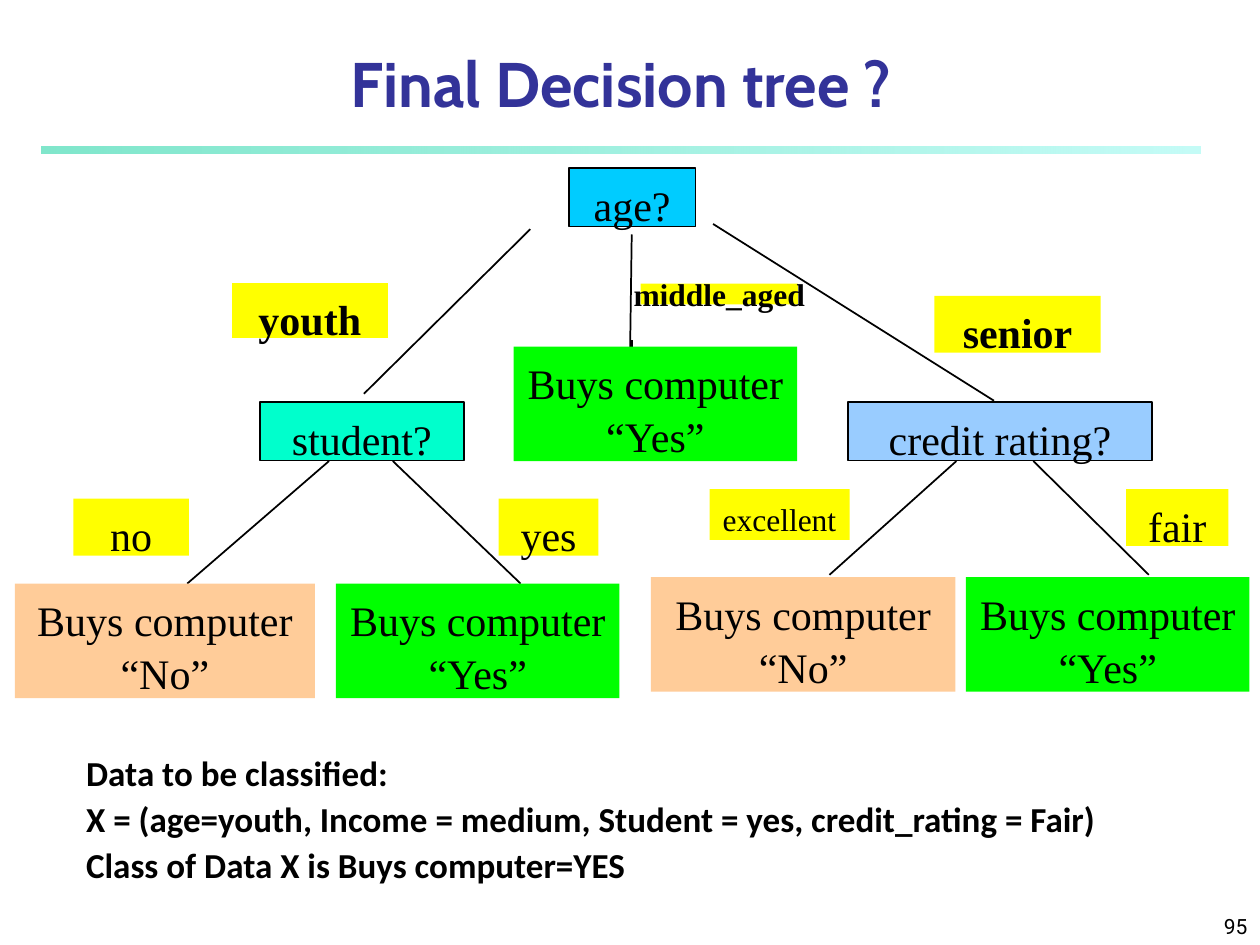
"""Build a slide that shows a final decision tree and one classified record."""
import lxml.etree
import pptx
import pptx.dml.color
import pptx.enum.shapes
import pptx.enum.text
import pptx.oxml.ns
import pptx.util

Pt = pptx.util.Pt
qn = pptx.oxml.ns.qn
Align = pptx.enum.text.PP_ALIGN
Anchor = pptx.enum.text.MSO_ANCHOR
RECT = pptx.enum.shapes.MSO_SHAPE.RECTANGLE
BLACK = "000000"
YELLOW = "FFFF00"
GREEN = "00FF00"
PEACH = "FFCC99"


def paint(code):
    return pptx.dml.color.RGBColor.from_string(code)


def write(frame, text, font="Times New Roman", size=24, color=BLACK, bold=False,
          align=Align.CENTER, anchor=Anchor.TOP, wrap=True, space=1.0,
          inset=(7.2, 3.6, 7.2, 3.6)):
    frame.auto_size = pptx.enum.text.MSO_AUTO_SIZE.NONE
    frame.word_wrap = wrap
    frame.vertical_anchor = anchor
    left, top, right, base = inset
    frame.margin_left, frame.margin_top = Pt(left), Pt(top)
    frame.margin_right, frame.margin_bottom = Pt(right), Pt(base)
    frame.text = text
    for para in frame.paragraphs:
        para.alignment = align
        para.line_spacing = space
        para.space_before = para.space_after = Pt(0)
        for run in para.runs:
            run.font.name = font
            run.font.size = Pt(size)
            run.font.bold = bold
            run.font.color.rgb = paint(color)


class Deck:
    def __init__(self):
        self.show = pptx.Presentation()
        self.show.slide_width, self.show.slide_height = Pt(720), Pt(540)
        self.slide = self.show.slides.add_slide(self.show.slide_layouts[1])
        self.shapes = self.slide.shapes

    def place(self, shape, area):
        shape.left, shape.top, shape.width, shape.height = map(Pt, area)

    def title(self, text, area):
        shape = self.shapes.title
        self.place(shape, area)
        write(shape.text_frame, text, font="Cabin", size=36, color="333399",
              bold=True, anchor=Anchor.BOTTOM)

    def body(self, text, area):
        shape = self.slide.placeholders[1]
        self.place(shape, area)
        write(shape.text_frame, text, font="Calibri", size=20, bold=True,
              align=Align.LEFT, space=1.1, inset=(7.2, 26, 7.2, 3.6))
        for para in shape.text_frame.paragraphs:
            props = para._p.get_or_add_pPr()
            props.set("marL", "0")
            props.set("indent", "0")
            lxml.etree.SubElement(props, qn("a:buNone"))

    def number(self, text, area):
        shape = self.shapes.add_textbox(*map(Pt, area))
        write(shape.text_frame, text, font="Roboto", size=12,
              align=Align.RIGHT, anchor=Anchor.BOTTOM)

    def rect(self, area):
        shape = self.shapes.add_shape(RECT, *map(Pt, area))
        shape.shadow.inherit = False
        shape.line.fill.background()
        return shape

    def rule(self, area, stops):
        shape = self.rect(area)
        shape.fill.gradient()
        shape.fill.gradient_angle = 0
        for stop, (code, alpha) in zip(shape.fill.gradient_stops, stops):
            stop.color.rgb = paint(code)
        tags = shape.element.spPr.iter(qn("a:srgbClr"))
        for tag, (code, alpha) in zip(list(tags), stops):
            lxml.etree.SubElement(tag, qn("a:alpha"), val=str(alpha * 1000))

    def box(self, text, area, fill, edge=None, **form):
        shape = self.rect(area)
        shape.fill.solid()
        shape.fill.fore_color.rgb = paint(fill)
        if edge:
            shape.line.color.rgb = paint(edge)
            shape.line.width = Pt(1)
        form = {"wrap": False, "space": 1.05, "inset": (7.2, 5, 7.2, 3.6)} | form
        write(shape.text_frame, text, **form)

    def line(self, ends):
        kind = pptx.enum.shapes.MSO_CONNECTOR.STRAIGHT
        link = self.shapes.add_connector(kind, *map(Pt, ends))
        link.line.color.rgb = paint(BLACK)
        link.line.width = Pt(1)
        lxml.etree.SubElement(link.element.spPr, qn("a:effectLst"))


def main():
    deck = Deck()
    deck.rule((24, 84, 662, 4), [("00CE98", 50), ("8FF9EF", 52)])
    deck.title("Final Decision tree ?", (24, 24, 662, 48))
    deck.number("95", (570, 510, 150, 30))

    for ends in [
        (303, 131, 208, 225), (361, 134, 360, 204), (407.5, 128, 568, 229),
        (188, 263.5, 107, 333.5), (224.5, 263.5, 297.5, 333.5),
        (546.5, 263.5, 474, 328.5), (590.5, 263.5, 656.5, 328.5),
        (361, 194.5, 361, 226),
    ]:
        deck.line(ends)

    for text, left, top, width, fill in [
        ("age?", 325, 96, 72.5, "00CCFF"),
        ("student?", 148.5, 229.75, 116.5, "00FFCC"),
        ("credit rating?", 484.5, 229.75, 174, "99CCFF"),
    ]:
        deck.box(text, (left, top, width, 33.5), fill, BLACK)

    for text, area, form in [
        ("youth", (132, 161.5, 90, 32), {"bold": True, "edge": "FFFFFF"}),
        ("senior", (534, 169, 95, 32.5), {"bold": True}),
        ("middle_aged", (366, 162, 90, 12),
         {"bold": True, "size": 18, "anchor": Anchor.MIDDLE,
          "space": 1.0, "inset": (0, 0, 0, 0)}),
        ("no", (42, 285, 66, 32.5), {}),
        ("yes", (285, 285, 57, 32.5), {}),
        ("excellent", (405.5, 279.5, 80, 29), {"size": 18}),
        ("fair", (643.5, 279.5, 58.5, 32.5), {}),
    ]:
        deck.box(text, area, YELLOW, **form)

    for word, left, top, width in [
        ("Yes", 293.5, 198, 162),
        ("No", 8.5, 333.5, 171.5), ("Yes", 192, 333.5, 162),
        ("No", 372, 329.75, 174), ("Yes", 552, 329.75, 162),
    ]:
        fill = GREEN if word == "Yes" else PEACH
        deck.box(f"Buys computer\n“{word}”", (left, top, width, 65.5), fill)

    deck.body("Data to be classified:\n"
              "X = (age=youth, Income = medium, Student = yes, credit_rating = Fair)\n"
              "Class of Data X is Buys computer=YES", (42, 401, 654, 111))
    deck.show.save("out.pptx")


if __name__ == "__main__":
    main()
